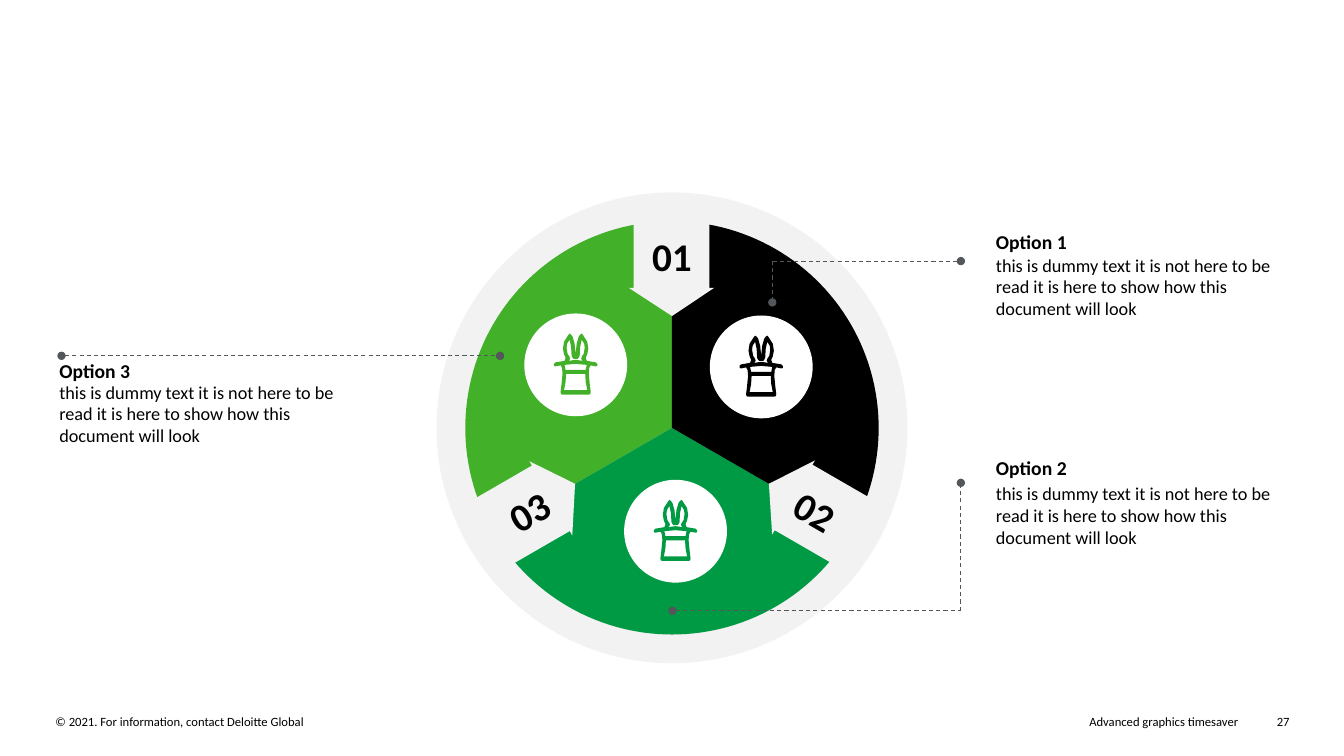
from math import cos, sin, radians
from lxml.etree import SubElement
from pptx import Presentation
from pptx.dml.color import RGBColor
from pptx.enum.dml import MSO_LINE
from pptx.enum.shapes import MSO_CONNECTOR, MSO_SHAPE
from pptx.enum.text import MSO_ANCHOR, MSO_AUTO_SIZE, PP_ALIGN
from pptx.oxml.ns import qn
from pptx.util import Inches, Pt

HUES = {"black": "000000", "lime": "43B02A", "green": "009A44",
        "pale": "F2F2F2", "white": "FFFFFF", "grey": "53565A"}
BODY = ("this is dummy text it is not here to be read "
        "it is here to show how this document will look")

# Right halves of the hat icon, in hundredths of an inch from its top centre
HAT = [
    [(0, 20), (1, 10), (3, 3), (4.5, 1), (6, 0), (7, 1), (11.5, 8), (12.6, 15),
     (11.5, 20.5), (10, 24), (11, 27), (20, 28.5), (21.5, 30), (21.5, 32),
     (20, 32.5), (15, 31.5), (13.5, 34), (13, 40), (14, 50), (15, 58),
     (14.5, 60), (13, 60.5)],
    [(2, 25), (3, 24), (4, 22), (4.5, 13), (6, 6), (8.5, 10), (9, 14),
     (8, 20), (6, 23), (5.5, 25), (7, 27), (0, 26)],
    [(9.5, 40), (10, 48), (11.5, 56)],
    [(0, 30), (11, 31), (10, 36)],
]


def tint(shape, hue):
    shape.shadow.inherit = False
    shape.fill.solid()
    shape.fill.fore_color.rgb = RGBColor.from_string(HUES[hue])
    shape.line.fill.background()


def outline(slide, rings, hue):
    rings = [[(Inches(x), Inches(y)) for x, y in ring] for ring in rings]
    pen = slide.shapes.build_freeform(*rings[0][0])
    for i, ring in enumerate(rings):
        if i:
            pen.move_to(*ring[0])
        pen.add_line_segments(ring[1:], close=True)
    tint(pen.convert_to_shape(), hue)


def disc(slide, x, y, size, hue):
    spot = slide.shapes.add_shape(MSO_SHAPE.OVAL, Inches(x), Inches(y),
                                  Inches(size), Inches(size))
    tint(spot, hue)


def text(slide, box, words, size, bold=False, align=PP_ALIGN.LEFT,
         inset=True, turn=0, anchor=MSO_ANCHOR.TOP):
    item = slide.shapes.add_textbox(*map(Inches, box))
    item.rotation = turn
    frame = item.text_frame
    form = {"word_wrap": True, "vertical_anchor": anchor,
            "auto_size": MSO_AUTO_SIZE.SHAPE_TO_FIT_TEXT}
    if not inset:
        form.update({"margin_" + side: 0
                     for side in ("left", "right", "top", "bottom")})
    for key, value in form.items():
        setattr(frame, key, value)
    para = frame.paragraphs[0]
    para.alignment = align
    run = para.add_run()
    run.text = words
    for key, value in {"name": "Calibri", "size": Pt(size), "bold": bold}.items():
        setattr(run.font, key, value)
    run.font.color.rgb = RGBColor.from_string(HUES["black"])


def leader(slide, start, end, *dots):
    wire = slide.shapes.add_connector(
        MSO_CONNECTOR.STRAIGHT, *map(Inches, start + end))
    wire.line.color.rgb = RGBColor.from_string(HUES["grey"])
    wire.line.width = Pt(0.75)
    wire.line.dash_style = MSO_LINE.DASH
    stroke = wire.line._get_or_add_ln()
    for dot in dots:
        SubElement(stroke, qn("a:" + dot), type="oval")
    SubElement(wire._element.spPr, qn("a:effectLst"))


def wheel(slide, left, top, size):
    mid_x, mid_y = left + size / 2, top + size / 2
    disc(slide, left, top, size, "pale")

    # Three equal sectors
    reach = 2.05
    for hue, start in (("lime", 150), ("green", 30), ("black", -90)):
        arc = [(mid_x + reach * cos(radians(a)), mid_y + reach * sin(radians(a)))
               for a in range(start, start + 121, 2)]
        outline(slide, [[(mid_x, mid_y)] + arc], hue)

    # Numbered arrows, each a third of a turn further on
    arrow = [(-0.38, -2.19), (-0.38, -1.39), (-0.43, -1.39), (0, -1.11),
             (0.42, -1.39), (0.37, -1.39), (0.37, -2.19)]
    wide, high = 0.71, 0.47
    marks = (("01", 0, 1.71), ("02", 30, 1.64), ("03", -30, 1.64))
    for i, (mark, turn, far) in enumerate(marks):
        c, s = cos(radians(120 * i)), sin(radians(120 * i))
        ring = [(mid_x + x * c - y * s, mid_y + x * s + y * c) for x, y in arrow]
        outline(slide, [ring], "pale")
        box = (mid_x + far * s - wide / 2, mid_y - far * c - high / 2, wide, high)
        text(slide, box, mark, 28, True, PP_ALIGN.CENTER, False, turn,
             MSO_ANCHOR.MIDDLE)


def badge(slide, left, top, hue):
    size = 1.02
    disc(slide, left, top, size, "white")
    rings = []
    for half in HAT:
        ring = half + [(-x, y) for x, y in reversed(half)]
        rings.append([(left + size / 2 + x / 100, top + 0.2 + y / 100)
                      for x, y in ring])
    outline(slide, rings, hue)


def option(slide, left, top, wide, drop, number):
    text(slide, (left, top, 2.18, 0.34), f"Option {number}", 14, True)
    text(slide, (left, top + drop, wide, 0.76), BODY, 13)


def footer(slide, top):
    for left, wide, words, align in (
            (0.55, 5.86, "© 2021. For information, contact Deloitte Global",
             PP_ALIGN.LEFT),
            (6.93, 5.35, "Advanced graphics timesaver", PP_ALIGN.RIGHT),
            (12.45, 0.34, "27", PP_ALIGN.RIGHT)):
        text(slide, (left, top, wide, 0.15), words, 9, align=align, inset=False)


def main():
    deck = Presentation()
    deck.slide_width, deck.slide_height = Inches(13.33), Inches(7.5)
    slide = deck.slides.add_slide(deck.slide_layouts[6])

    footer(slide, 7.08)
    wheel(slide, 4.33, 1.91, 4.67)

    # Option texts
    option(slide, 9.78, 2.23, 3.03, 0.24, 1)
    option(slide, 9.78, 4.47, 3.03, 0.27, 2)
    option(slide, 0.49, 3.51, 2.94, 0.22, 3)

    # Dashed leaders from sectors to texts
    leader(slide, (9.53, 2.59), (7.66, 2.59), "headEnd")
    leader(slide, (7.66, 2.59), (7.66, 3), "tailEnd")
    leader(slide, (6.67, 6.06), (9.53, 6.06), "headEnd")
    leader(slide, (9.53, 6.06), (9.53, 4.79), "tailEnd")
    leader(slide, (0.61, 3.53), (4.96, 3.53), "headEnd", "tailEnd")

    # Hat icons
    badge(slide, 5.2, 3.11, "lime")
    badge(slide, 7.04, 3.13, "black")
    badge(slide, 6.19, 4.76, "green")

    deck.save("out.pptx")


if __name__ == "__main__":
    main()
